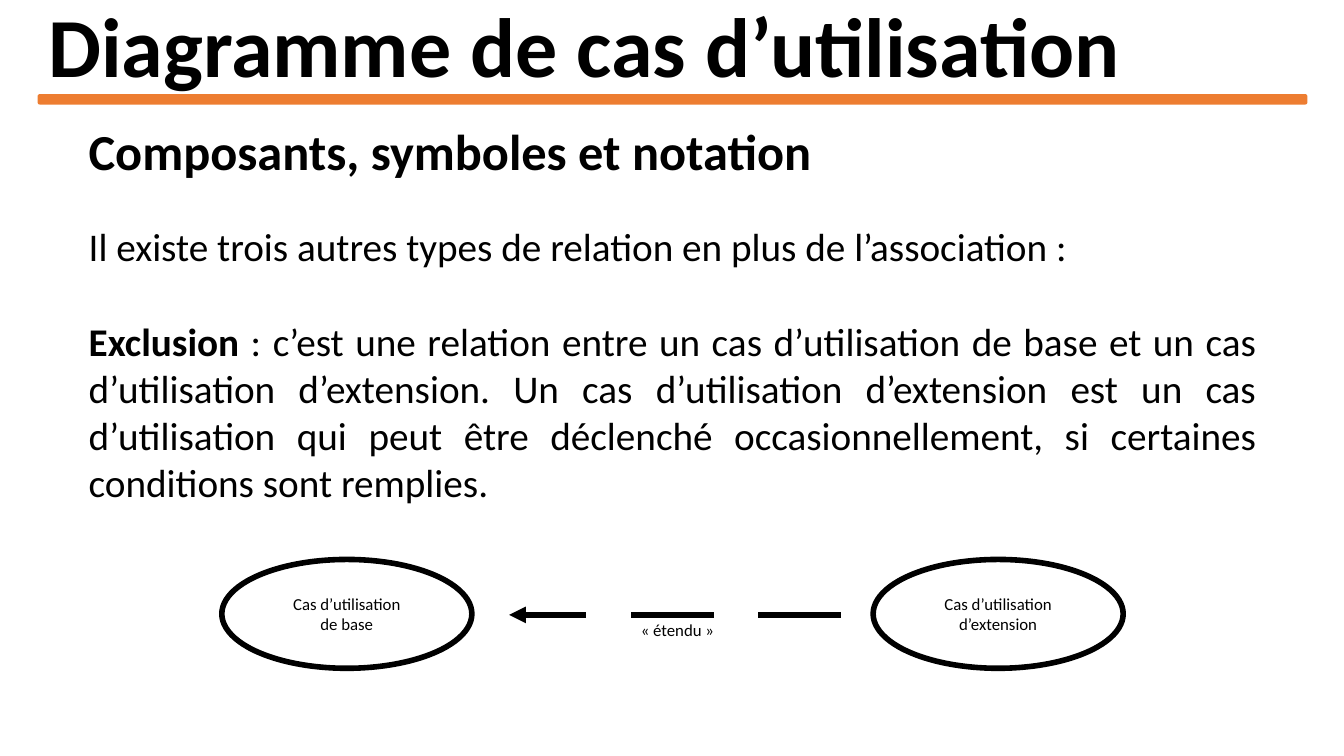
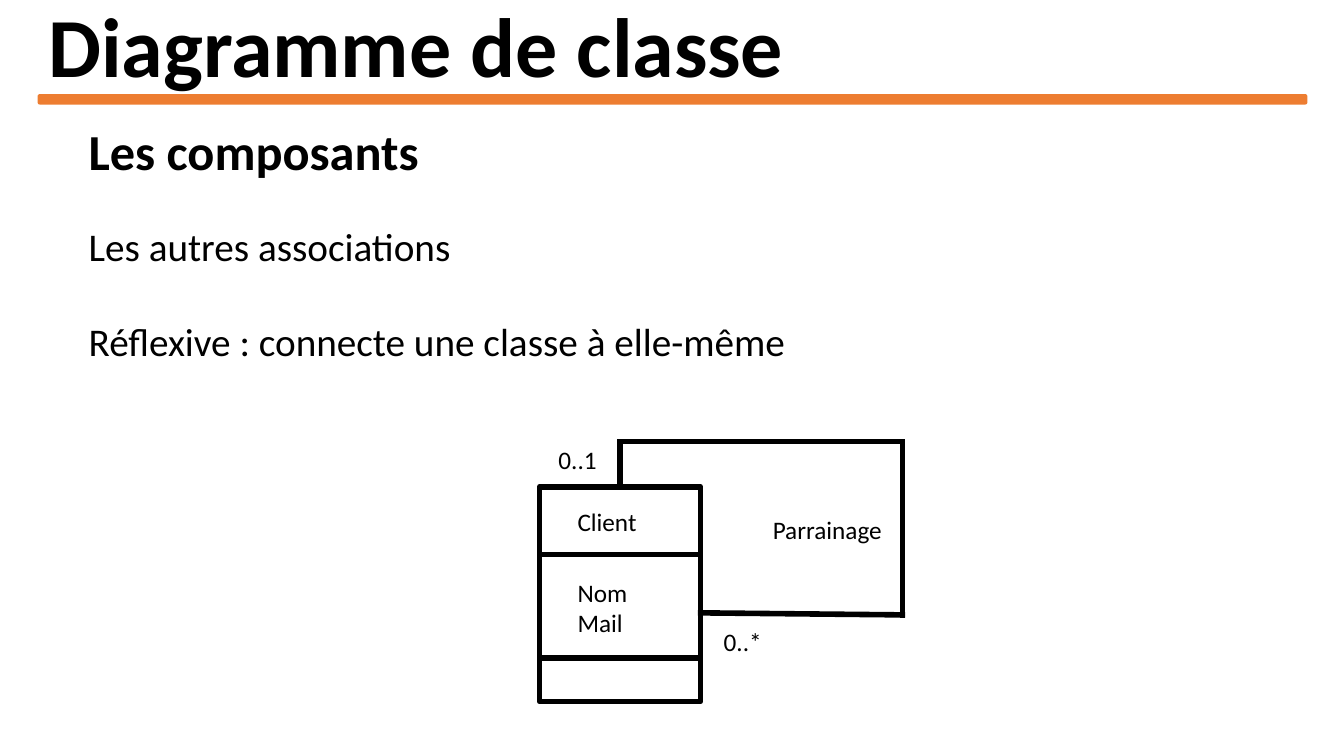
from pptx import Presentation
from pptx.dml.color import RGBColor
from pptx.enum.shapes import MSO_CONNECTOR, MSO_SHAPE
from pptx.enum.text import MSO_ANCHOR, MSO_AUTO_SIZE, PP_ALIGN
from pptx.oxml.ns import qn
from pptx.util import Inches, Pt
from lxml import etree

STRAIGHT = MSO_CONNECTOR.STRAIGHT
ELLIPSE, RECTANGLE, ROUNDED = MSO_SHAPE.OVAL, MSO_SHAPE.RECTANGLE, MSO_SHAPE.ROUNDED_RECTANGLE
LEFT, CENTER, JUSTIFY = PP_ALIGN.LEFT, PP_ALIGN.CENTER, PP_ALIGN.JUSTIFY
TOP, MIDDLE = MSO_ANCHOR.TOP, MSO_ANCHOR.MIDDLE
NO_AUTOFIT = MSO_AUTO_SIZE.NONE

COLORS = {"text": "000000", "accent": "ED7D31", "paper": "FFFFFF"}
FONT = "Calibri"
STROKE = 4
TITLE_AND_CONTENT = 1
MARGIN, BAND_WIDTH = 0.38, 12.58
TEXT_LEFT, TEXT_WIDTH = 0.78, 11.78


def color(name):
    return RGBColor.from_string(COLORS[name])


def place(shape, box):
    for side, length in zip(("left", "top", "width", "height"), box):
        setattr(shape, side, Inches(length))


def write(shape, paragraphs, size, align=LEFT, anchor=TOP, gap=0, bold=False):
    """Fill a shape with paragraphs, each a string or a list of (text, bold) runs."""
    frame = shape.text_frame
    for name, value in {"word_wrap": True, "auto_size": NO_AUTOFIT, "vertical_anchor": anchor}.items():
        setattr(frame, name, value)
    for index, content in enumerate(paragraphs):
        paragraph = frame.add_paragraph() if index else frame.paragraphs[0]
        paragraph.alignment = align
        paragraph.space_before = Pt(gap if index else 0)
        runs = [(content, bold)] if isinstance(content, str) else content
        for text, run_bold in runs:
            run = paragraph.add_run()
            run.text = text
            font_format = {"name": FONT, "size": Pt(size), "bold": run_bold}
            for name, value in font_format.items():
                setattr(run.font, name, value)
            run.font.color.rgb = color("text")


def add_text(slide, box, paragraphs, size, **layout):
    shape = slide.shapes.add_textbox(*map(Inches, box))
    write(shape, paragraphs, size, **layout)


def add_outline(slide, kind, box, fill=None, line="text", width=STROKE):
    shape = slide.shapes.add_shape(kind, *map(Inches, box))
    shape.shadow.inherit = False
    if fill:
        shape.fill.solid()
        shape.fill.fore_color.rgb = color(fill)
    else:
        shape.fill.background()
    shape.line.color.rgb = color(line)
    shape.line.width = Pt(width)
    return shape


def add_line(slide, start, end, arrow=False, cap="flat"):
    connector = slide.shapes.add_connector(STRAIGHT, *map(Inches, (*start, *end)))
    connector.line.color.rgb = color("text")
    connector.line.width = Pt(STROKE)
    properties = connector.element.spPr
    outline = properties.find(qn("a:ln"))
    outline.set("cap", cap)
    if arrow:
        etree.SubElement(outline, qn("a:tailEnd"), type="triangle")
    etree.SubElement(properties, qn("a:effectLst"))


def add_content_slide(presentation, title, heading, paragraphs, body_height):
    """Add a slide with title, orange band, heading and introductory text."""
    slide = presentation.slides.add_slide(presentation.slide_layouts[TITLE_AND_CONTENT])
    place(slide.shapes.title, (MARGIN, 0, BAND_WIDTH, 1))
    write(slide.shapes.title, [title], 60, anchor=MIDDLE, bold=True)
    slide.shapes.title.text_frame.paragraphs[0].line_spacing = 0.9

    add_text(slide, (TEXT_LEFT, 1.14, TEXT_WIDTH, 0.71), [heading], 36, align=JUSTIFY, bold=True)
    add_outline(slide, ROUNDED, (MARGIN, 0.94, BAND_WIDTH, 0.09), "accent", "accent", 1)

    body = slide.placeholders[1]
    place(body, (TEXT_LEFT, 2.16, TEXT_WIDTH, body_height))
    write(body, paragraphs, 28, align=JUSTIFY, gap=34)
    for paragraph in body.text_frame.paragraphs:
        properties = paragraph._p.get_or_add_pPr()
        properties.set("marL", "0")
        properties.set("indent", "0")
        etree.SubElement(properties, qn("a:buNone"))
    return slide


def add_use_case(slide, box, label):
    ellipse = add_outline(slide, ELLIPSE, box)
    ellipse.text_frame.margin_left = ellipse.text_frame.margin_right = Inches(0.29)
    write(ellipse, [label], 12, align=CENTER, anchor=MIDDLE)


def add_extend_diagram(slide, left, top):
    """Draw two use cases joined by a dashed arrow, from the top left corner."""
    width, height = 2.48, 1.08
    for offset, label in ((0, "Cas d’utilisation de base"), (6.46, "Cas d’utilisation d’extension")):
        add_use_case(slide, (left + offset, top, width, height), label)

    dash_y, dash, step = top + 0.55, 0.82, 1.26
    dash_left = left + 4.06
    for index in range(2):
        x = dash_left + index * step
        add_line(slide, (x, dash_y), (x + dash, dash_y))
    add_line(slide, (left + 3.61, dash_y), (left + 2.85, dash_y), arrow=True)
    add_text(slide, (left + 3.83, dash_y, 1.38, 0.3), ["« étendu »"], 12, align=CENTER)


def add_reflexive_class(slide, left, top):
    """Draw a class box with an association back to itself."""
    width, height = 1.6, 2.13
    right, middle = left + width, left + width / 2
    add_outline(slide, RECTANGLE, (left, top, width, height), "paper")
    for offset in (0.67, 1.7):
        add_line(slide, (left, top + offset), (right, top + offset))

    loop_top, loop_right = top - 0.45, right + 2
    corners = [(middle, top), (middle, loop_top), (loop_right, loop_top),
               (loop_right, top + 1.27), (right, top + 1.25)]
    for start, end in zip(corners, corners[1:]):
        add_line(slide, start, end, cap="sq")

    labels = [
        (0.28, 0.14, 1, 0.4, ["Client"], LEFT),
        (0.28, 0.85, 1.16, 0.71, ["Nom", "Mail"], LEFT),
        (0.09, -0.47, 0.67, 0.4, ["0..1"], LEFT),
        (1.73, 1.33, 0.67, 0.4, ["0..*"], LEFT),
        (2.06, 0.22, 1.59, 0.4, ["Parrainage"], CENTER),
    ]
    for x, y, label_width, label_height, lines, align in labels:
        add_text(slide, (left + x, top + y, label_width, label_height), lines, 18, align=align)


def main():
    presentation = Presentation()
    presentation.slide_width = Inches(13.33)
    presentation.slide_height = Inches(7.5)

    use_case_slide = add_content_slide(
        presentation, "Diagramme de cas d’utilisation", "Composants, symboles et notation",
        ["Il existe trois autres types de relation en plus de l’association :",
         [("Exclusion", True),
          (" : c’est une relation entre un cas d’utilisation de base et un cas d’utilisation "
           "d’extension. Un cas d’utilisation d’extension est un cas d’utilisation qui peut être "
           "déclenché occasionnellement, si certaines conditions sont remplies.", False)]],
        2.93)
    add_extend_diagram(use_case_slide, 2.2, 5.55)

    class_slide = add_content_slide(
        presentation, "Diagramme de classe", "Les composants",
        ["Les autres associations", "Réflexive : connecte une classe à elle-même"], 1.51)
    add_reflexive_class(class_slide, 5.35, 4.83)

    presentation.save("out.pptx")


if __name__ == "__main__":
    main()
